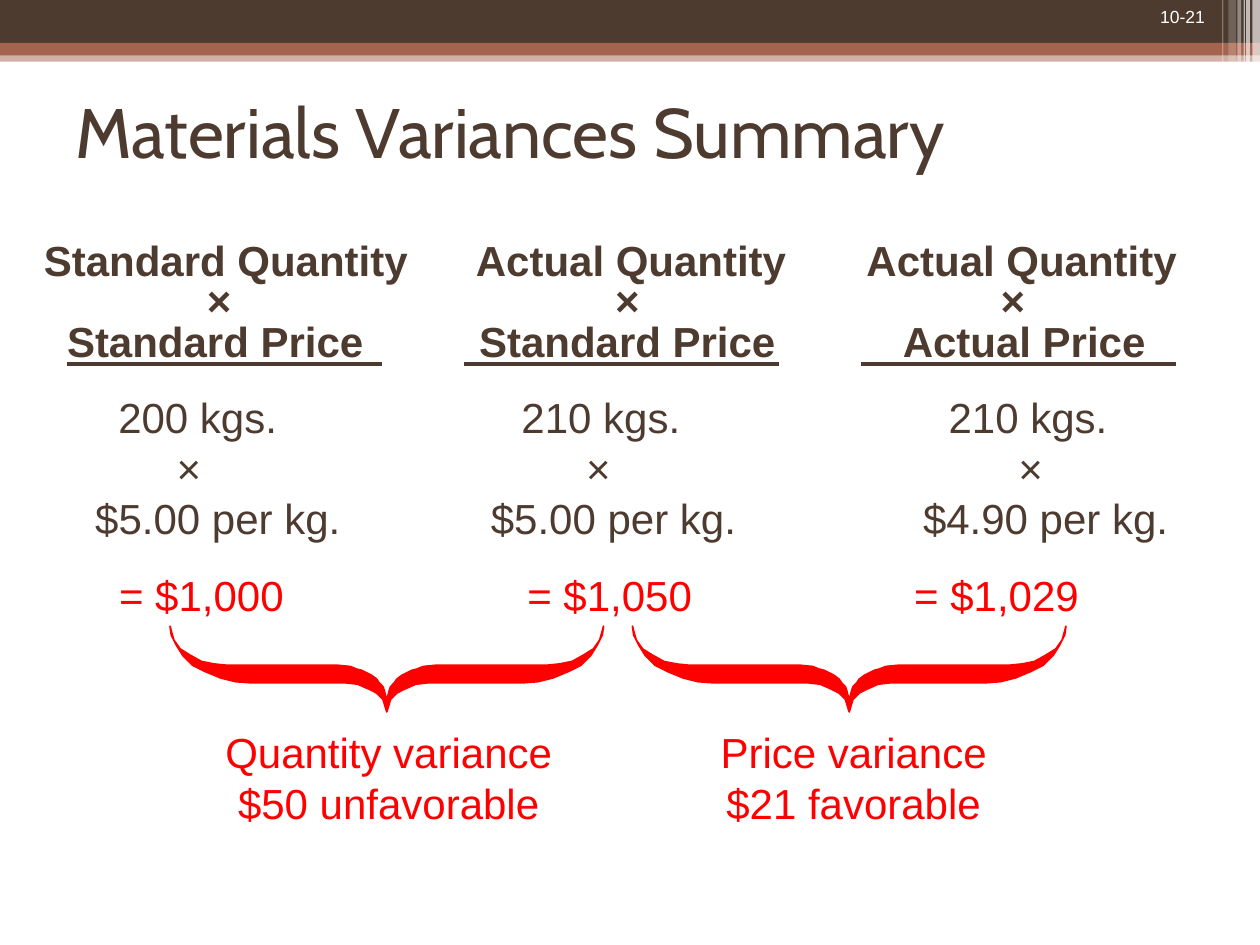
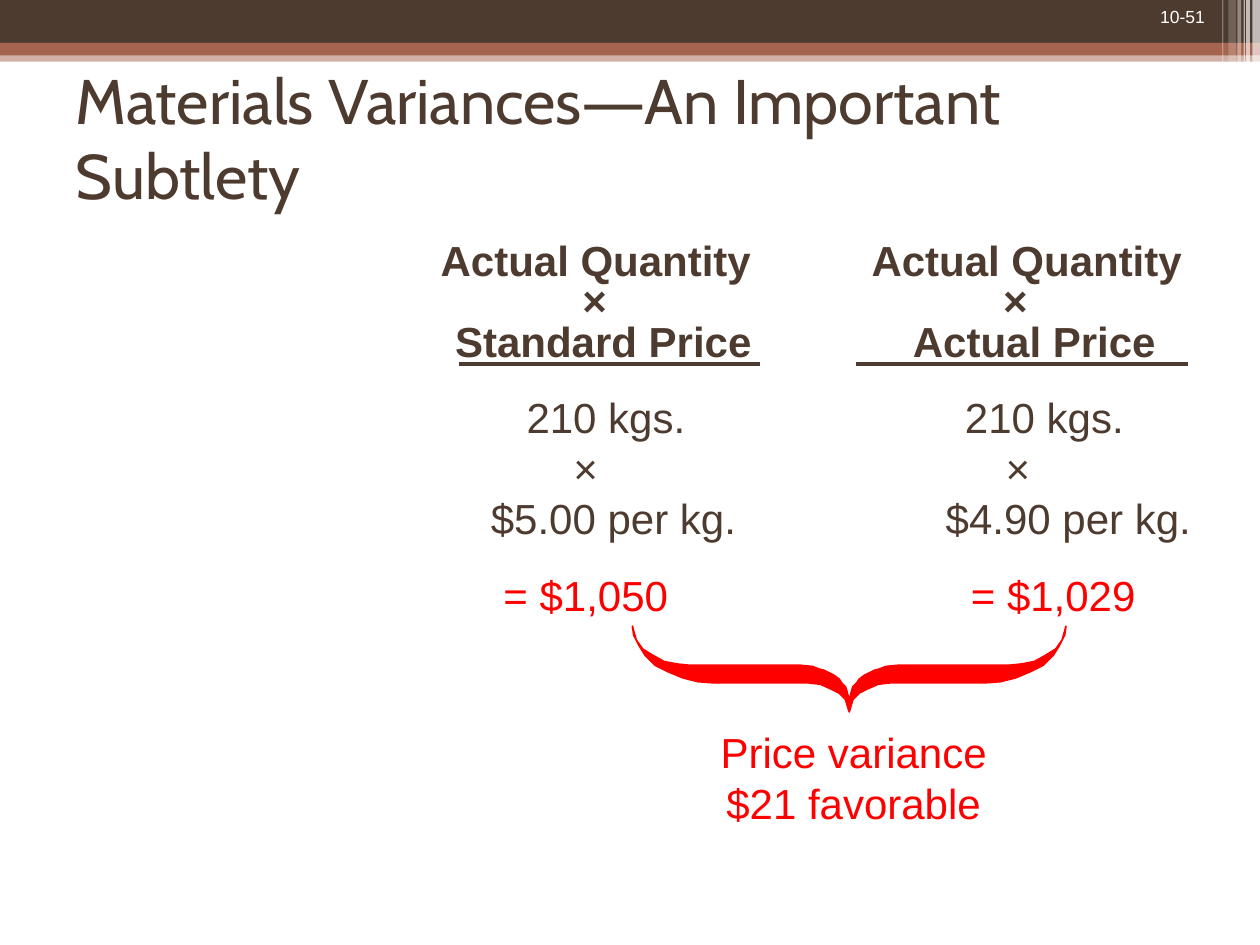
from pptx import Presentation
from pptx.dml.color import RGBColor
from pptx.enum.shapes import MSO_CONNECTOR, MSO_SHAPE
from pptx.enum.text import MSO_ANCHOR, MSO_AUTO_SIZE, PP_ALIGN
from pptx.oxml.ns import qn
from pptx.util import Inches, Pt
from lxml import etree

RECT, ROUND = MSO_SHAPE.RECTANGLE, MSO_SHAPE.ROUNDED_RECTANGLE
LEFT, CENTER, RIGHT = PP_ALIGN.LEFT, PP_ALIGN.CENTER, PP_ALIGN.RIGHT
COLORS = {name: RGBColor.from_string(value) for name, value in {
    "brown": "4E3B30", "rust": "A5644E", "white": "FFFFFF", "red": "FF0000"}.items()}
WIDTH, HEIGHT = 10, 7.5
INSET = 0.1
RULE_TOP = 2.89

BANDS = [
    (RECT, 0, 0.4, WIDTH, 0.09, "rust", 50),
    (RECT, 0, 0, WIDTH, 0.34, "brown", 100),
    (RECT, 0, 0.34, WIDTH, 0.1, "rust", 100),
    (ROUND, 5.91, 0.54, 3.35, 0.03, "white", 100),
    (ROUND, 8.06, 0.64, 1.75, 0.04, "white", 100),
    (RECT, 9.94, 0, 0.06, 0.68, "white", 65),
    (RECT, 9.89, 0, 0.03, 0.68, "white", 65),
    (RECT, 9.87, 0, 0.01, 0.68, "white", 60),
    (RECT, 9.82, 0, 0.03, 0.68, "white", 40),
    (RECT, 9.75, 0, 0.06, 0.64, "white", 20),
    (RECT, 9.7, 0, 0.01, 0.64, "white", 30),
]

HALF_BRACE = [
    (0, 59), (1, 55), (2, 51), (3, 48), (6, 45), (8, 42), (12, 39), (16, 37),
    (20, 35), (24, 34), (29, 32), (39, 31), (127, 31), (137, 30), (147, 28),
    (156, 23), (164, 18), (169, 11), (171, 4), (172, 0), (171, 7), (167, 15),
    (162, 23), (154, 31), (144, 36), (132, 41), (120, 44), (107, 45), (32, 45),
    (23, 46), (14, 50), (8, 53), (3, 58), (0, 68),
]
BRACE = HALF_BRACE + [(-x, y) for x, y in reversed(HALF_BRACE)]
BRACE_TOP = 497

QUANTITY = (307, 0.96, "Quantity variance\v$50 unfavorable")
PRICE = (674, 4.65, "Price variance\v$21 favorable")

SLIDES = [
    {
        "number": "10-21", "title": "Materials Variances Summary",
        "size": 40, "spacing": 0.85, "header_left": 0.25,
        "headers": [
            (["Standard Quantity", "Actual Quantity", "Actual Quantity"], [1.79, 5.01, 8.11]),
            (["×"] * 3, [1.74, 4.98, 8.04]),
            (["Standard Price", "Standard Price", "Actual Price"], [1.71, 4.98, 8.13]),
        ],
        "values": [
            (["200 kgs.", "210 kgs.", "210 kgs."], [1.57, 4.77, 8.16]),
            (["×"] * 3, [1.5, 4.75, 8.18]),
            (["$5.00 per kg.", "$5.00 per kg.", "$4.90 per kg."], [1.73, 4.87, 8.3]),
            (["= $1,000", "= $1,050", "= $1,029"], [1.6, 4.84, 7.91]),
        ],
        "rules": [(0.53 + 3.15 * column, 3.03 + 3.15 * column) for column in range(3)],
        "variances": [QUANTITY, PRICE],
    },
    {
        "number": "10-51", "title": "Materials Variances―An Important Subtlety",
        "size": 36, "spacing": 1.0, "header_left": 0,
        "headers": [
            (["Actual Quantity", "Actual Quantity"], [4.73, 8.15]),
            (["×"] * 2, [4.72, 8.06]),
            (["Standard Price", "Actual Price"], [4.79, 8.21]),
        ],
        "values": [
            (["210 kgs.", "210 kgs."], [4.81, 8.29]),
            (["×"] * 2, [4.65, 8.08]),
            (["$5.00 per kg.", "$4.90 per kg."], [4.87, 8.48]),
            (["= $1,050", "= $1,029"], [4.65, 8.36]),
        ],
        "rules": [(3.64, 6.03), (6.79, 9.43)],
        "variances": [PRICE],
    },
]


def add_text(page, place, text, size, color, align=LEFT, bold=False):
    box = page.shapes.add_textbox(*map(Inches, place))
    frame = box.text_frame
    frame.word_wrap = True
    frame.auto_size = MSO_AUTO_SIZE.SHAPE_TO_FIT_TEXT
    frame.text = text
    for para in frame.paragraphs:
        para.alignment = align
        for span in para.runs:
            span.font.name = "Arial"
            span.font.size = Pt(size)
            span.font.bold = bold
            span.font.color.rgb = COLORS[color]
    return frame


def add_columns(page, place, rows, bold=False):
    text = "\n".join("\t" + "\t".join(cells) for cells, centers in rows)
    frame = add_text(page, place, text, 24, "brown", bold=bold)
    for para, (cells, centers) in zip(frame.paragraphs, rows):
        tabs = etree.SubElement(para._p.get_or_add_pPr(), qn("a:tabLst"))
        for center in centers:
            position = Inches(center - place[0] - INSET)
            etree.SubElement(tabs, qn("a:tab"), pos=str(int(position)), algn="ctr")
    return frame


deck = Presentation()
deck.slide_width, deck.slide_height = Inches(WIDTH), Inches(HEIGHT)
layout = deck.slide_layouts[5]
for holder in list(layout.placeholders)[1:]:
    holder.element.getparent().remove(holder.element)
pages = [deck.slides.add_slide(layout) for content in SLIDES]

bands = []
for kind, left, top, width, height, color, opacity in BANDS:
    band = pages[0].shapes.add_shape(kind, *map(Inches, (left, top, width, height)))
    band.shadow.inherit = False
    band.fill.solid()
    band.fill.fore_color.rgb = COLORS[color]
    band.line.fill.background()
    if opacity < 100:
        tint = band.element.spPr.find(".//" + qn("a:srgbClr"))
        etree.SubElement(tint, qn("a:alpha"), val=str(opacity * 1000))
    bands.append(band)
for band in bands:
    layout.shapes.element.append(band.element)

for page, content in zip(pages, SLIDES):
    add_text(page, (8.58, 0, 1.08, 0.27), content["number"], 10, "white", RIGHT)

    title = page.shapes.title
    title.left, title.top, title.width, title.height = map(Inches, (0.5, 0.5, 9, 1.17))
    title.text_frame.text = content["title"]
    title.text_frame.auto_size = MSO_AUTO_SIZE.NONE
    title.text_frame.vertical_anchor = MSO_ANCHOR.MIDDLE
    para = title.text_frame.paragraphs[0]
    para.alignment = LEFT
    para.line_spacing = content["spacing"]
    para.runs[0].font.name = "Cabin"
    para.runs[0].font.size = Pt(content["size"])
    para.runs[0].font.color.rgb = COLORS["brown"]

    headers = add_columns(page, (content["header_left"], 1.89, 9.58, 1.06), content["headers"], True)
    for para in headers.paragraphs:
        para.line_spacing = 0.8

    values = add_columns(page, (0.29, 3.06, 9.41, 1.91), content["values"])
    totals = values.paragraphs[-1]
    totals.space_before = Pt(15)
    for span in totals.runs:
        span.font.color.rgb = COLORS["red"]

    for start, end in content["rules"]:
        rule = page.shapes.add_connector(
            MSO_CONNECTOR.STRAIGHT, *map(Inches, (start, RULE_TOP, end, RULE_TOP)))
        rule.line.color.rgb = COLORS["brown"]
        rule.line.width = Pt(2.25)
        etree.SubElement(rule.element.spPr, qn("a:effectLst"))

    for center, label_left, label in content["variances"]:
        outline = [(center + x, BRACE_TOP + y) for x, y in BRACE]
        builder = page.shapes.build_freeform(*outline[0], scale=Inches(0.01))
        builder.add_line_segments(outline[1:], close=True)
        brace = builder.convert_to_shape()
        brace.shadow.inherit = False
        brace.fill.solid()
        brace.fill.fore_color.rgb = COLORS["red"]
        brace.line.color.rgb = COLORS["red"]
        brace.line.width = Pt(1)
        add_text(page, (label_left, 5.72, 4.25, 0.9), label, 24, "red", CENTER)

deck.save("out.pptx")
